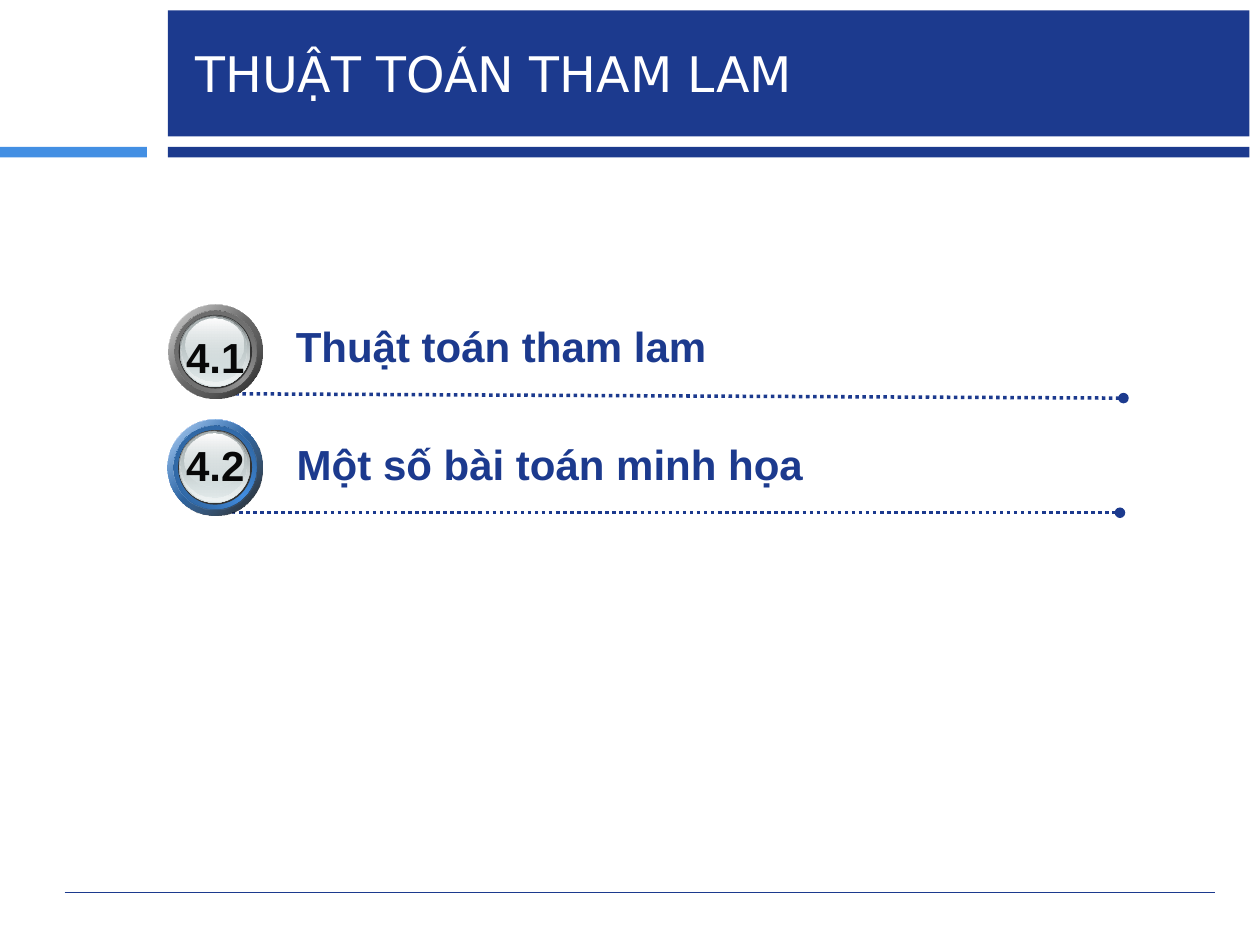
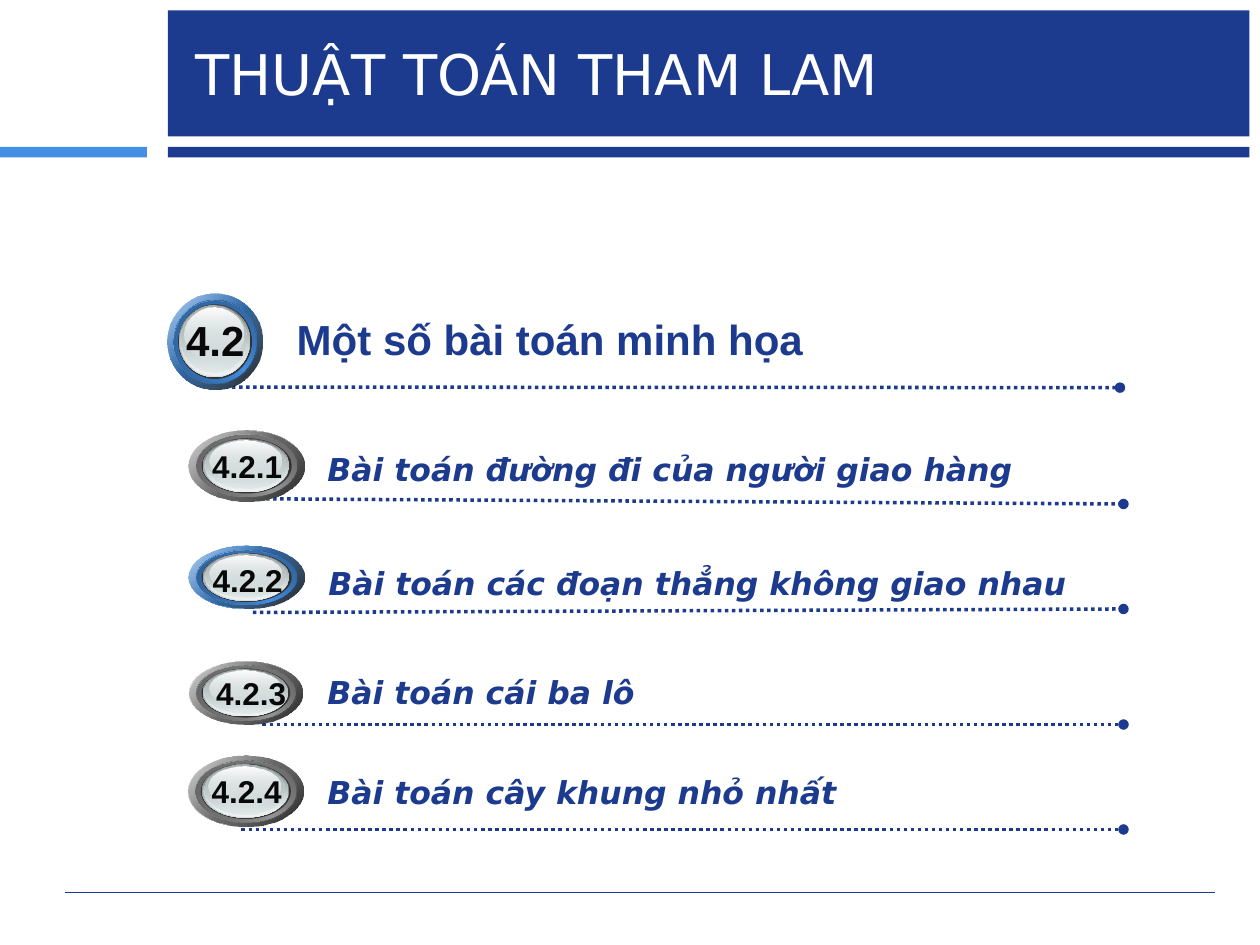
from lxml import etree
from pptx import Presentation
from pptx.dml.color import RGBColor
from pptx.enum.dml import MSO_LINE
from pptx.enum.shapes import MSO_CONNECTOR, MSO_SHAPE
from pptx.enum.text import MSO_ANCHOR, MSO_AUTO_SIZE, PP_ALIGN
from pptx.oxml.ns import qn
from pptx.util import Pt

RECT, OVAL = MSO_SHAPE.RECTANGLE, MSO_SHAPE.OVAL
STRAIGHT, DOTS = MSO_CONNECTOR.STRAIGHT, MSO_LINE.ROUND_DOT
LEFT, CENTER = PP_ALIGN.LEFT, PP_ALIGN.CENTER
TOP, MIDDLE = MSO_ANCHOR.TOP, MSO_ANCHOR.MIDDLE
FIXED = MSO_AUTO_SIZE.NONE

NAVY = RGBColor(0x1C, 0x3A, 0x8E)
BLUE = RGBColor(0x43, 0x8F, 0xE3)
GRAY = RGBColor(0x96, 0x96, 0x96)
WHITE = RGBColor(0xFF, 0xFF, 0xFF)
INK = RGBColor(0x08, 0x08, 0x08)
DARK = RGBColor(0x33, 0x33, 0x33)
BLACK = RGBColor(0, 0, 0)
SHINE = RGBColor(0xFE, 0xFE, 0xFE)
ICE = RGBColor(0xD6, 0xE1, 0xE2)
PALE = RGBColor(0xEF, 0xF3, 0xF3)
STEEL = RGBColor(0x62, 0x67, 0x68)
MIST = RGBColor(0xA8, 0xB1, 0xB2)
SHADES = {
    BLUE: (RGBColor(0x24, 0x4D, 0x7A), RGBColor(0x2A, 0x5A, 0x8F)),
    GRAY: (RGBColor(0x50, 0x50, 0x50), RGBColor(0x5E, 0x5E, 0x5E)),
}

TITLE = "THUẬT TOÁN THAM LAM"
TITLE_BOX = (104.5, 11.5, 610, 60.5)
BANDS = [
    ((96, 84, 618, 6), NAVY),
    ((96, 6, 618, 72), NAVY),
    ((0, 84, 84, 6), BLUE),
]
FOOT = (37, 510, 694.5, 510)

MAJOR = {
    "height": 36,
    "num": {"size": Pt(24), "name": "Arial", "bold": True},
    "label": {"size": Pt(24), "name": "Arial", "bold": True},
}
MINOR = {
    "height": 29,
    "num": {"size": Pt(18), "name": "Arial", "bold": True},
    "label": {"size": Pt(18), "name": "DejaVu Sans", "bold": True, "italic": True},
}

SLIDES = [
    (28, [
        ("4.1", "Thuật toán tham lam", MAJOR, GRAY, (96.2, 174, 53.8, 54),
         (96, 186, 54), (162, 179.5, 462), (126.5, 225, 642, 227.5)),
        ("4.2", "Một số bài toán minh họa", MAJOR, BLUE, (95.8, 239.7, 54.2, 54.7),
         (90, 247.7, 66), (162.5, 247.2, 474), (124.5, 293, 640, 293)),
    ]),
    (32, [
        ("4.2", "Một số bài toán minh họa", MAJOR, BLUE, (95.8, 167.9, 54.2, 54.7),
         (90, 176.2, 66), (162.5, 175.5, 474), (124.5, 221.2, 640, 221.5)),
        ("4.2.1", "Bài toán đường đi của người giao hàng", MINOR, GRAY,
         (108, 246, 66, 40.5), (102, 252, 78.5), (180, 253.5, 450),
         (144, 285, 642, 288)),
        ("4.2.2", "Bài toán các đoạn thẳng không giao nhau", MINOR, BLUE,
         (108, 312, 66, 36), (109.5, 317, 64), (180.5, 319, 456),
         (144.5, 350, 642, 348)),
        ("4.2.3", "Bài toán cái ba lô", MINOR, GRAY,
         (108, 378, 65, 36), (107.5, 381.5, 72), (180, 381, 348),
         (150, 414, 642, 414)),
        ("4.2.4", "Bài toán cây khung nhỏ nhất", MINOR, GRAY,
         (107.5, 432, 66, 40.5), (105, 437.7, 72), (180, 438, 396),
         (138, 474, 642, 474)),
    ]),
]


def layers(tint):
    deep, rim = SHADES[tint]
    full, ring = (0, 0, 100, 100), (6.5, 6.5, 87, 87)
    return [
        (full, 225, [(0, SHINE, 100), (50, tint, 100), (100, SHINE, 100)]),
        (full, 225, [(0, BLACK, 90), (100, tint, 32)]),
        (ring, 135, [(0, deep, 100), (50, tint, 100), (100, deep, 100)]),
        (ring, 225, [(0, tint, 0), (100, rim, 100)]),
        ((11, 11, 78, 78), 0, [(0, DARK, 100)]),
        ((12, 11.5, 75, 75.5), 90, [(0, STEEL, 100), (100, ICE, 100)]),
        ((13, 12, 73.5, 73.5), 90, [(0, ICE, 0), (100, PALE, 100)]),
        ((14, 12.5, 69.5, 69.5), 90, [(0, MIST, 100), (100, ICE, 48)]),
        ((18, 14.5, 62, 55.5), 90, [(0, SHINE, 100), (100, ICE, 38)]),
    ]


def apply(target, values):
    for key, value in values.items():
        setattr(target, key, value)


def pts(box):
    return [Pt(v) for v in box]


def add_flat(shapes, kind, box, color):
    shape = shapes.add_shape(kind, *pts(box))
    shape.shadow.inherit = False
    shape.fill.solid()
    shape.fill.fore_color.rgb = color
    shape.line.fill.background()
    return shape


def blend(shape, angle, stops):
    grad = etree.Element(qn("a:gradFill"), rotWithShape="1")
    stack = etree.SubElement(grad, qn("a:gsLst"))
    for place, color, alpha in stops:
        stop = etree.SubElement(stack, qn("a:gs"), pos=str(place * 1000))
        tone = etree.SubElement(stop, qn("a:srgbClr"), val=str(color))
        if alpha < 100:
            etree.SubElement(tone, qn("a:alpha"), val=str(alpha * 1000))
    etree.SubElement(grad, qn("a:lin"), ang=str(angle * 60000), scaled="0")
    props = shape.element.spPr
    props.replace(props.find(qn("a:solidFill")), grad)


def add_badge(slide, box, tint):
    x, y, w, h = box
    group = slide.shapes.add_group_shape()
    for (dx, dy, dw, dh), angle, stops in layers(tint):
        part = (x + w * dx / 100, y + h * dy / 100, w * dw / 100, h * dh / 100)
        oval = add_flat(group.shapes, OVAL, part, stops[0][1])
        if len(stops) > 1:
            blend(oval, angle, stops)


def add_line(slide, ends, width, dotted=False):
    line = slide.shapes.add_connector(STRAIGHT, *pts(ends))
    line.line.color.rgb = NAVY
    line.line.width = Pt(width)
    props = line.element.spPr
    if dotted:
        line.line.dash_style = DOTS
        etree.SubElement(props.find(qn("a:ln")), qn("a:tailEnd"), type="oval")
    etree.SubElement(props, qn("a:effectLst"))
    return line


def write(shape, text, font, color, align, anchor):
    frame = shape.text_frame
    apply(frame, {"word_wrap": True, "auto_size": FIXED, "vertical_anchor": anchor})
    para = frame.paragraphs[0]
    para.alignment = align
    run = para.add_run()
    run.text = text
    apply(run.font, font)
    run.font.color.rgb = color


def add_text(slide, spot, height, *style):
    x, y, w = spot
    write(slide.shapes.add_textbox(*pts((x, y, w, height))), *style)


def add_title(slide, size):
    title = slide.shapes.title
    apply(title, dict(zip(("left", "top", "width", "height"), pts(TITLE_BOX))))
    font = {"size": Pt(size), "name": "DejaVu Sans"}
    write(title, TITLE, font, WHITE, LEFT, MIDDLE)


def add_item(slide, num, label, style, tint, badge, spot, place, ends):
    add_line(slide, ends, 2, True)
    add_badge(slide, badge, tint)
    tall = style["height"]
    add_text(slide, spot, tall, num, style["num"], INK, CENTER, TOP)
    add_text(slide, place, tall, label, style["label"], NAVY, LEFT, TOP)


def frame_layout(layout, slide):
    tree = layout.shapes.element
    for holder in list(layout.placeholders)[1:]:
        tree.remove(holder.element)
    parts = [add_flat(slide.shapes, RECT, box, color) for box, color in BANDS]
    parts.append(add_line(slide, FOOT, 0.75))
    for part in parts:
        tree.append(part.element)


def main():
    deck = Presentation()
    deck.slide_width, deck.slide_height = Pt(720), Pt(540)
    layout = deck.slide_layouts[5]
    for count, (size, items) in enumerate(SLIDES):
        slide = deck.slides.add_slide(layout)
        if count == 0:
            frame_layout(layout, slide)
        add_title(slide, size)
        for item in items:
            add_item(slide, *item)
    deck.save("out.pptx")


if __name__ == "__main__":
    main()
